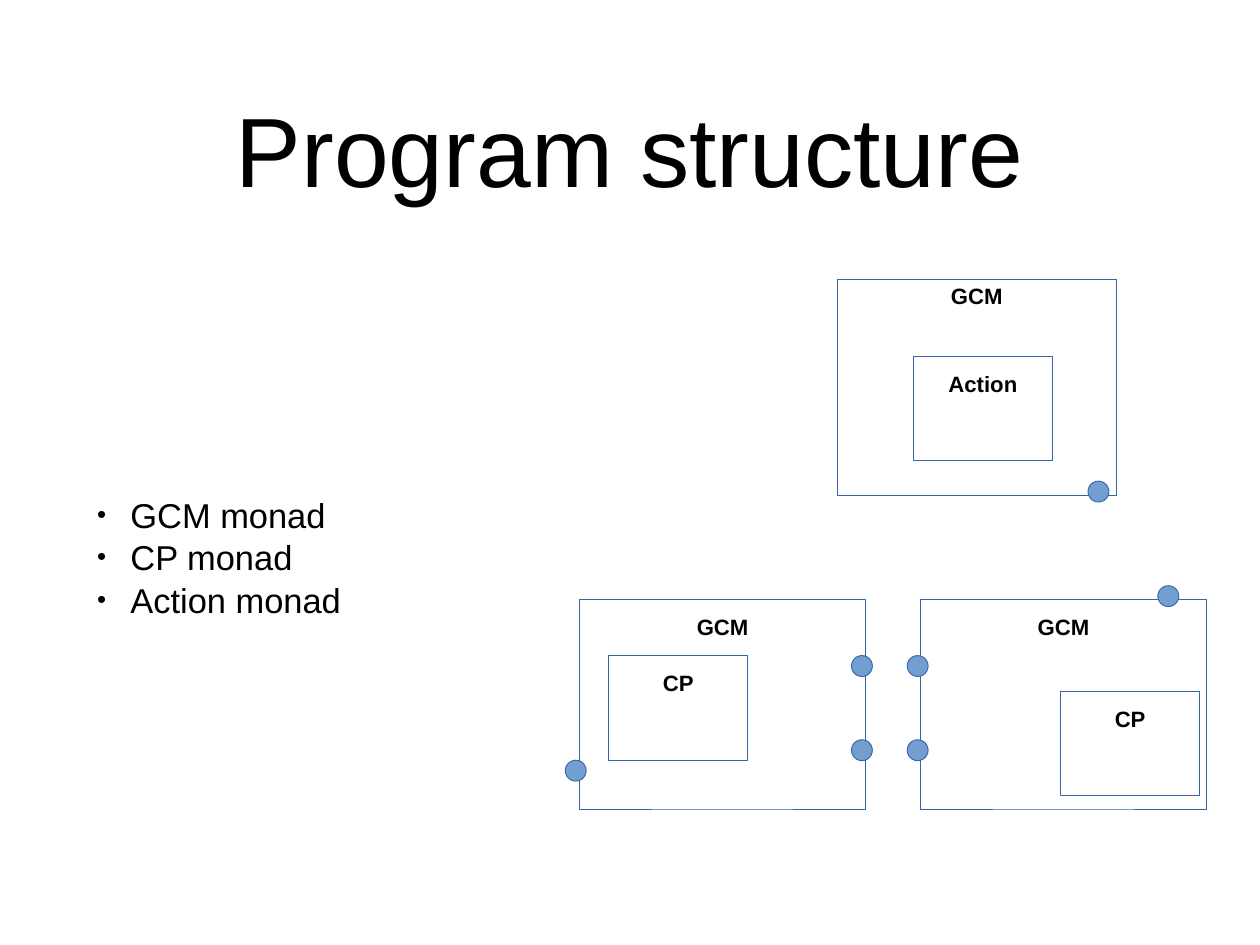
from lxml.etree import SubElement
from pptx import Presentation
from pptx.dml.color import RGBColor
from pptx.enum.shapes import MSO_SHAPE as SHAPE
from pptx.enum.text import MSO_ANCHOR as ANCHOR, PP_ALIGN as ALIGN
from pptx.oxml.ns import qn
from pptx.util import Pt

COLOURS = {"text": "000000", "line": "3465A4", "port": "729FCF"}


def add_text(para, text, size, bold=False):
    span = para.add_run()
    span.text = text
    span.font.name = "Arial"
    span.font.size = Pt(size)
    span.font.bold = bold
    span.font.color.rgb = RGBColor.from_string(COLOURS["text"])


def add_outlined(kind, left, top, width, height):
    shape = page.shapes.add_shape(kind, Pt(left), Pt(top), Pt(width), Pt(height))
    shape.shadow.inherit = False
    shape.line.color.rgb = RGBColor.from_string(COLOURS["line"])
    shape.line.width = Pt(0.75)
    return shape


deck = Presentation()
deck.slide_width, deck.slide_height = Pt(1024), Pt(768)
page = deck.slides.add_slide(deck.slide_layouts[5])

# Title
title = page.shapes.title
title.left, title.top, title.width, title.height = Pt(75), Pt(35.3), Pt(874), Pt(170)
title.text_frame.vertical_anchor = ANCHOR.MIDDLE
title.text_frame.paragraphs[0].alignment = ALIGN.CENTER
add_text(title.text_frame.paragraphs[0], "Program structure", 80)

# List of monads
monads = page.shapes.add_textbox(Pt(75), Pt(205), Pt(420), Pt(495)).text_frame
monads.word_wrap = True
monads.vertical_anchor = ANCHOR.MIDDLE
monads.margin_left = monads.margin_right = Pt(4)
monads.margin_top = monads.margin_bottom = Pt(4)
for index, name in enumerate(["GCM monad", "CP monad", "Action monad"]):
    para = monads.add_paragraph() if index else monads.paragraphs[0]
    para.space_after = Pt(1)
    add_text(para, name, 28)
    properties = para._p.get_or_add_pPr()
    properties.set("marL", str(Pt(27)))
    properties.set("indent", str(-Pt(27)))
    SubElement(properties, qn("a:buSzPct"), val="75000")
    SubElement(properties, qn("a:buFont"), typeface="Arial")
    SubElement(properties, qn("a:buChar"), char="•")

# Components: label, left, top, width, height, gap above the label
components = [
    ("GCM", 680.4, 226.8, 226.8, 175.7, 3),
    ("GCM", 748, 487.5, 232.5, 170, 11),
    ("GCM", 471, 487.5, 232.5, 170, 11),
    ("Action", 742.3, 289.4, 113, 85, 11.5),
    ("CP", 862, 561.6, 113, 85, 11.5),
    ("CP", 494.7, 532.8, 113, 85, 11.5),
]
for label, left, top, width, height, gap in components:
    component = add_outlined(SHAPE.RECTANGLE, left, top, width, height)
    component.fill.background()
    frame = component.text_frame
    frame.vertical_anchor = ANCHOR.TOP
    frame.margin_top = Pt(gap)
    frame.paragraphs[0].alignment = ALIGN.CENTER
    add_text(frame.paragraphs[0], label, 18, bold=True)

# Ports: two facing pairs, then the outer ones
ports = [(left, top) for left in (692, 737.3) for top in (532.8, 601.2)]
ports += [(884.2, 391), (941, 476), (459.4, 617.8)]
for left, top in ports:
    port = add_outlined(SHAPE.OVAL, left, top, 17, 17)
    port.fill.solid()
    port.fill.fore_color.rgb = RGBColor.from_string(COLOURS["port"])

deck.save("out.pptx")
